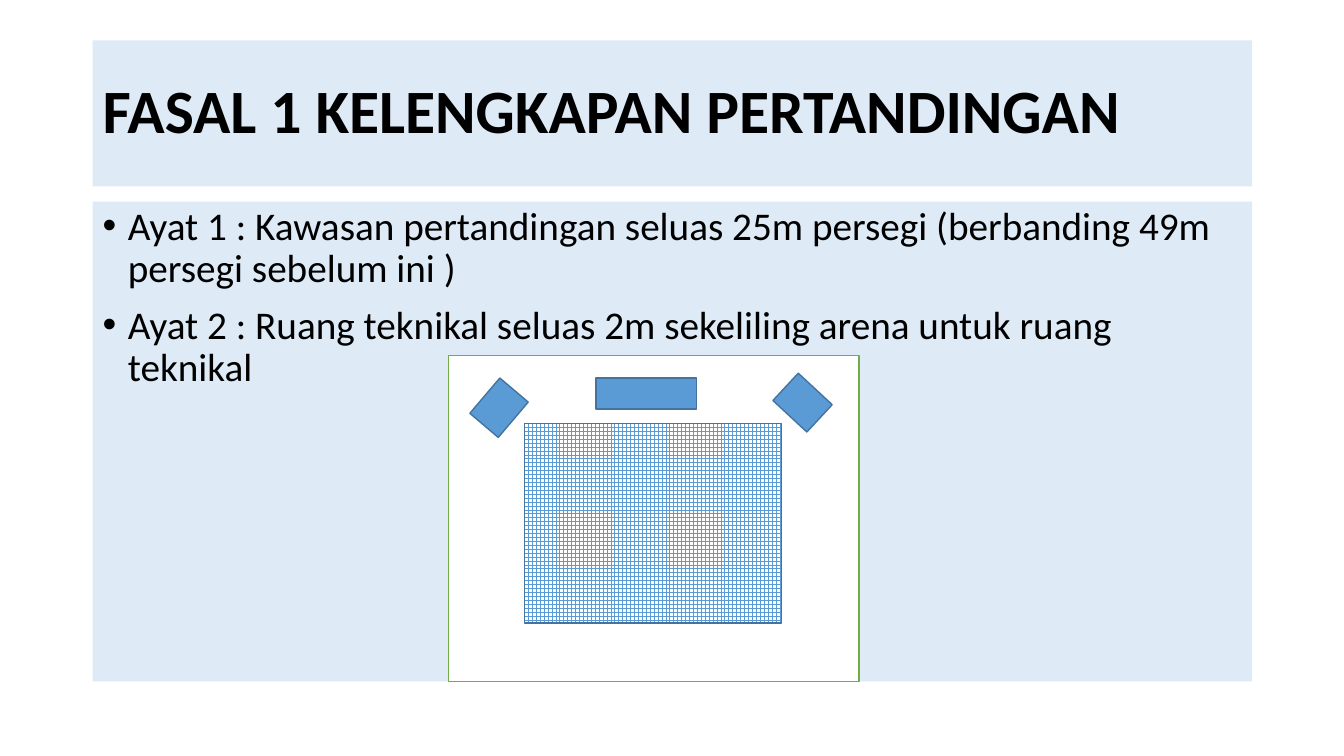
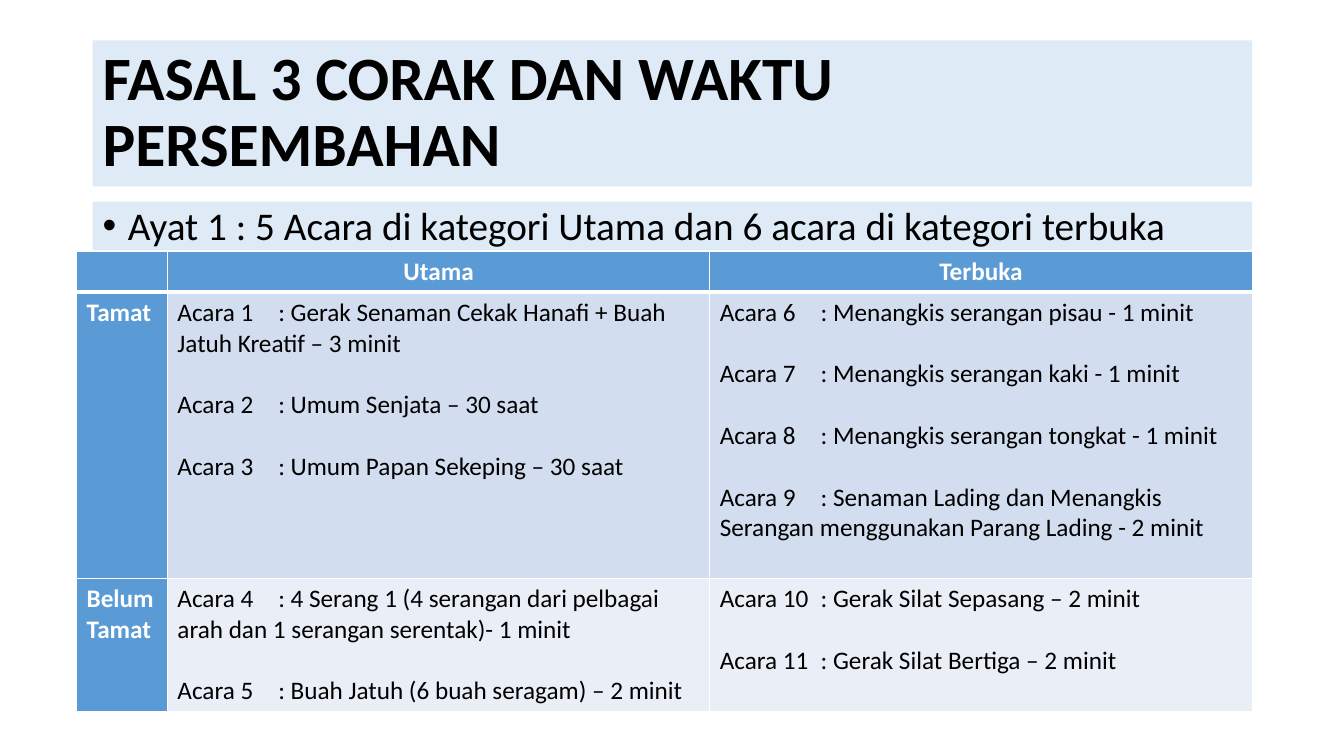
from lxml import etree
from pptx import Presentation
from pptx.dml.color import RGBColor
from pptx.enum import dml, shapes, text
from pptx.oxml import ns
from pptx.util import Inches, Pt

PANEL, WHITE, BLACK = "DEEBF7", "FFFFFF", "000000"
BLUE, DARK_BLUE, GREEN = "5B9BD5", "43739E", "70AD47"
ROW_TINTS = ["D2DEEF", "EAEFF7"]
FONT = "Calibri"

TITLE_BOX = (0.92, 0.4, 11.5, 1.45)
BODY_BOX = (0.92, 2, 11.5, 4.76)
TITLE_FONT = {"size": Pt(44), "bold": True}
BODY_FONT = {"size": Pt(28), "bold": False}
CELL_FONT = {"size": Pt(18), "bold": False}
HEADING_FONT = {"size": Pt(18), "bold": True}
TITLE_SPACING = {"line_spacing": 0.9}
BODY_SPACING = {"line_spacing": 0.9, "space_before": Pt(10)}

EVENTS = [
    ["", ["Utama"], ["Terbuka"]],
    [
        "Tamat",
        [
            "Acara 1\t: Gerak Senaman Cekak Hanafi + Buah Jatuh Kreatif – 3 minit",
            "Acara 2\t: Umum Senjata – 30 saat",
            "Acara 3\t: Umum Papan Sekeping – 30 saat",
        ],
        [
            "Acara 6\t: Menangkis serangan pisau - 1 minit",
            "Acara 7\t: Menangkis serangan kaki - 1 minit",
            "Acara 8\t: Menangkis serangan tongkat - 1 minit",
            "Acara 9\t: Senaman Lading dan Menangkis Serangan menggunakan "
            "Parang Lading - 2 minit",
        ],
    ],
    [
        "Belum Tamat",
        [
            "Acara 4\t: 4 Serang 1 (4 serangan dari pelbagai arah dan "
            "1 serangan serentak)- 1 minit",
            "Acara 5\t: Buah Jatuh (6 buah seragam) – 2 minit",
        ],
        [
            "Acara 10\t: Gerak Silat Sepasang – 2 minit",
            "Acara 11\t: Gerak Silat Bertiga – 2 minit",
        ],
    ],
]


def rgb(hex_color):
    return RGBColor.from_string(hex_color)


def apply(target, values):
    for name, value in values.items():
        setattr(target, name, value)


def inches(box):
    return [Inches(length) for length in box]


def write(frame, lines, font, color=BLACK, **spacing):
    """Fill a text frame with one paragraph a line and return the paragraphs."""
    frame.word_wrap = True
    for index, line in enumerate(lines):
        paragraph = frame.add_paragraph() if index else frame.paragraphs[0]
        apply(paragraph, spacing)
        run = paragraph.add_run()
        run.text = line
        apply(run.font, {"name": FONT, **font})
        run.font.color.rgb = rgb(color)
    return frame.paragraphs


def add_panel(slide, box, lines, font, spacing, anchor):
    panel = slide.shapes.add_textbox(*inches(box))
    panel.fill.solid()
    panel.fill.fore_color.rgb = rgb(PANEL)
    panel.text_frame.vertical_anchor = anchor
    return write(panel.text_frame, lines, font, **spacing)


def add_bullet(paragraph):
    properties = paragraph._p.get_or_add_pPr()
    properties.set("marL", str(Inches(0.25)))
    properties.set("indent", str(-Inches(0.25)))
    etree.SubElement(properties, ns.qn("a:buFont"), typeface="Arial")
    etree.SubElement(properties, ns.qn("a:buChar"), char="•")


def add_clause_slide(deck, title, clauses):
    """Add a slide with the shared title band and bulleted panel."""
    slide = deck.slides.add_slide(deck.slide_layouts[6])
    add_panel(slide, TITLE_BOX, [title], TITLE_FONT, TITLE_SPACING,
              text.MSO_ANCHOR.MIDDLE)
    for paragraph in add_panel(slide, BODY_BOX, clauses, BODY_FONT, BODY_SPACING,
                               text.MSO_ANCHOR.TOP):
        add_bullet(paragraph)
    return slide


def add_block(slide, box, fill=BLUE, line=DARK_BLUE, rotation=0):
    block = slide.shapes.add_shape(shapes.MSO_SHAPE.RECTANGLE, *inches(box))
    block.shadow.inherit = False
    block.rotation = rotation
    block.fill.solid()
    block.fill.fore_color.rgb = rgb(fill)
    block.line.color.rgb = rgb(line)
    block.line.width = Pt(1)
    return block


def draw_arena(slide, box):
    """Draw the technical area, the gridded mat and the three tables behind it."""
    left, top, width, height = box
    add_block(slide, box, WHITE, GREEN)
    mat = add_block(slide, (left + 0.75, top + 0.67, 2.55, 1.98))
    mat.fill.patterned()
    mat.fill.pattern = dml.MSO_PATTERN.LARGE_GRID
    mat.fill.fore_color.rgb = rgb(BLUE)
    mat.fill.back_color.rgb = rgb(WHITE)
    add_block(slide, (left + 1.46, top + 0.22, 1, 0.31))
    for x, y, rotation in [(3.28, 0.28, 42.9), (0.27, 0.33, 310.3)]:
        add_block(slide, (left + x, top + y, 0.46, 0.37), rotation=rotation)


def set_borders(cell, bottom_width, top_width):
    properties = cell._tc.get_or_add_tcPr()
    for side, width in [("L", 1), ("R", 1), ("T", top_width), ("B", bottom_width)]:
        line = etree.SubElement(properties, ns.qn(f"a:ln{side}"), w=str(Pt(width)))
        fill = etree.SubElement(line, ns.qn("a:solidFill"))
        etree.SubElement(fill, ns.qn("a:srgbClr"), val=WHITE)


def fill_cell(cell, row, column, content):
    heading = row == 0 or column == 0
    set_borders(cell, 3 if row == 0 else 1, 3 if row == 1 else 1)
    cell.fill.solid()
    cell.fill.fore_color.rgb = rgb(BLUE if heading else ROW_TINTS[row - 1])
    lines = [content] if column == 0 else content
    align = text.PP_ALIGN.CENTER if row == 0 else text.PP_ALIGN.LEFT
    paragraphs = write(cell.text_frame, lines,
                       HEADING_FONT if heading else CELL_FONT,
                       WHITE if heading else BLACK, alignment=align)
    for paragraph in paragraphs[1:]:
        paragraph.space_before = Pt(22)


def add_event_table(slide, left, top, widths, heights):
    box = (left, top, sum(widths), sum(heights))
    table = slide.shapes.add_table(len(heights), len(widths), *inches(box)).table
    for column, width in zip(table.columns, widths):
        column.width = Inches(width)
    for row, height in zip(table.rows, heights):
        row.height = Inches(height)
    for row, contents in enumerate(EVENTS):
        for column, content in enumerate(contents):
            fill_cell(table.cell(row, column), row, column, content)


def main():
    deck = Presentation()
    apply(deck, {"slide_width": Inches(13.33), "slide_height": Inches(7.5)})
    equipment = add_clause_slide(deck, "FASAL 1 KELENGKAPAN PERTANDINGAN", [
        "Ayat 1 : Kawasan pertandingan seluas 25m persegi "
        "(berbanding 49m persegi sebelum ini )",
        "Ayat 2 : Ruang teknikal seluas 2m sekeliling arena untuk ruang teknikal",
    ])
    draw_arena(equipment, (4.45, 3.53, 4.07, 3.23))
    timing = add_clause_slide(deck, "FASAL 3 CORAK DAN WAKTU PERSEMBAHAN", [
        "Ayat 1 : 5 Acara di kategori Utama dan 6 acara di kategori terbuka",
    ])
    add_event_table(timing, 0.76, 2.49, [0.9, 5.38, 5.38], [0.41, 2.84, 1.32])
    deck.save("out.pptx")


if __name__ == "__main__":
    main()
